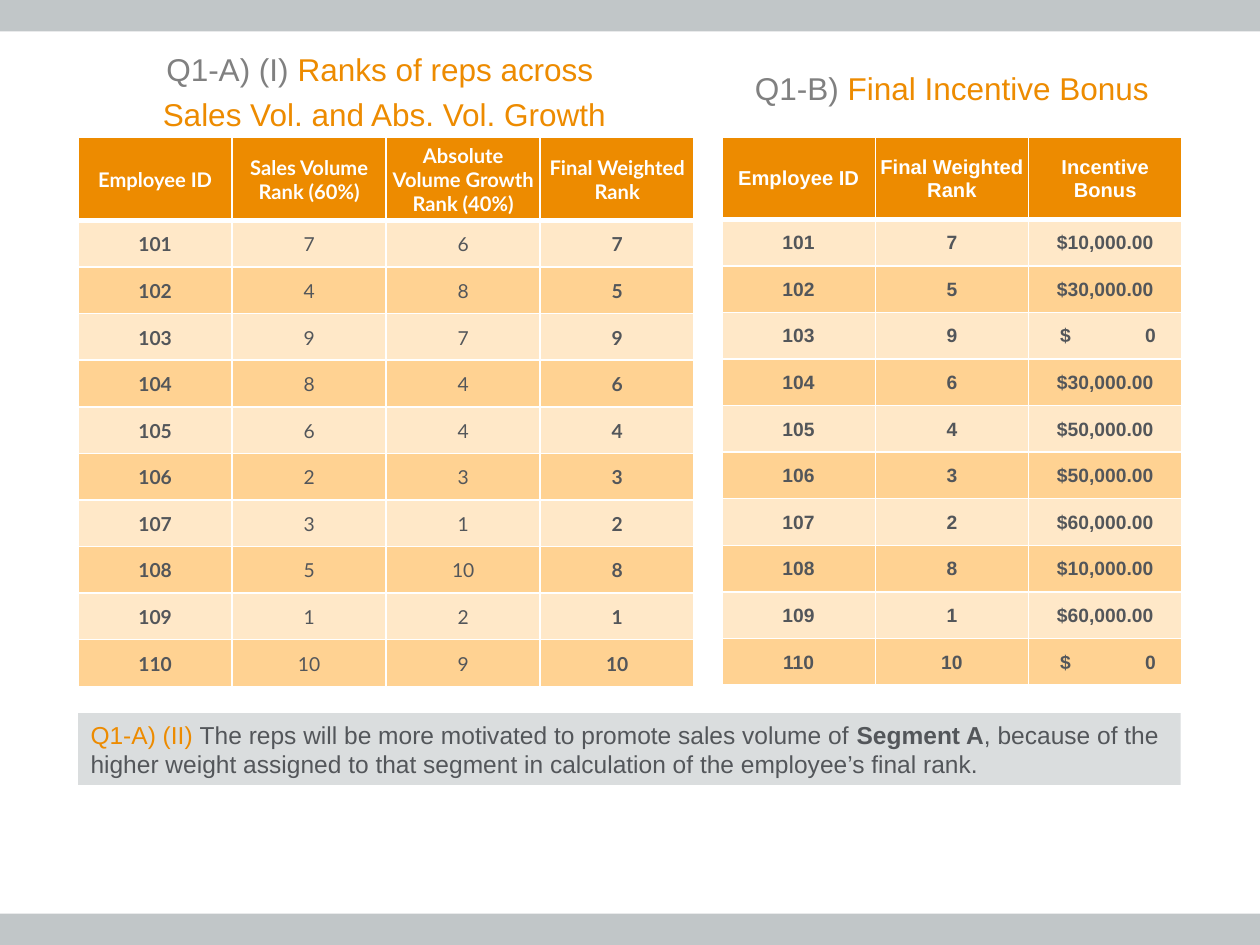
"""Build the slide of sales ranks and incentive bonuses."""
from lxml.etree import fromstring
from pptx import Presentation
from pptx.dml.color import RGBColor as RGB
from pptx.enum.shapes import MSO_SHAPE as Shape
from pptx.enum.text import MSO_ANCHOR as Anchor, PP_ALIGN as Align
from pptx.util import Inches, Pt

HUES = {"bar": "C1C6C8", "head": "ED8B00", "odd": "FFE8C8", "even": "FFD292",
        "note": "DADDDE", "text": "53565A", "gray": "808080", "white": "FFFFFF"}
NS = "http://schemas.openxmlformats.org/drawingml/2006/main"

RANKS = [(101, 7, 6, 7), (102, 4, 8, 5), (103, 9, 7, 9), (104, 8, 4, 6), (105, 6, 4, 4),
         (106, 2, 3, 3), (107, 3, 1, 2), (108, 5, 10, 8), (109, 1, 2, 1), (110, 10, 9, 10)]
PAY = [10000, 30000, 0, 30000, 50000, 50000, 60000, 10000, 60000, 0]
FINAL = "Final Weighted\nRank"
TABLES = [
    {"box": (0.62, 1.09, 4.89, 4.36), "font": "Lato", "plain": (1, 2),
     "head": ["Employee ID", "Sales Volume Rank (60%)",
              "Absolute Volume Growth Rank (40%)", FINAL],
     "rows": RANKS},
    {"box": (5.73, 1.09, 3.65, 4.35), "font": "Arial", "plain": (),
     "head": ["Employee ID", FINAL, "Incentive\nBonus"],
     "rows": [(rank[0], rank[3], f"${pay:,.2f}" if pay else "$\t0")
              for rank, pay in zip(RANKS, PAY)]},
]
TITLES = [
    ((0.62, 0.35, 4.86, 0.77), [
        [("Q1-A) (I) ", "gray"), ("Ranks of reps across ", "head")],
        [("Sales Vol. and Abs. Vol. Growth", "head")]]),
    ((5.74, 0.5, 3.63, 0.4), [
        [("Q1-B)", "gray"), (" Final Incentive Bonus", "head")]]),
]
NOTE = [[("Q1-A) (II) ", "head"),
         ("The reps will be more motivated to promote sales volume of ", "text"),
         ("Segment A", "text", True),
         (", because of the higher weight assigned to that segment in calculation "
          "of the employee’s final rank.", "text")]]
NOTE_BOX = (0.62, 5.66, 8.75, 0.57)
BARS = [(0, 0, 10, 0.25), (0, 7.25, 10, 0.25)]
ROW = 0.37
INSETS = {"margin_left": 0.01, "margin_right": 0.01, "margin_top": 0.01, "margin_bottom": 0}
SPLIT = {"margin_left": 0.25, "margin_right": 0.2}


def style(item, **values):
    for name, value in values.items():
        setattr(item, name, value)


def write(frame, lines, size, align, font="Arial", gap=0):
    for at, line in enumerate(lines):
        para = frame.add_paragraph() if at else frame.paragraphs[0]
        style(para, alignment=align, space_before=Pt(gap if at else 0))
        for text, hue, *bold in line:
            run = para.add_run()
            run.text = text
            style(run.font, name=font, size=Pt(size), bold=bool(bold and bold[0]))
            run.font.color.rgb = RGB.from_string(HUES[hue])


def block(box, hue):
    part = slide.shapes.add_shape(Shape.RECTANGLE, *map(Inches, box))
    part.shadow.inherit = False
    part.fill.solid()
    part.fill.fore_color.rgb = RGB.from_string(HUES[hue])
    part.line.fill.background()
    return part


def edge(cell, row):
    widths = {"L": 1, "R": 1, "T": 3 if row == 1 else 1, "B": 1 if row else 3}
    for at, (side, width) in enumerate(widths.items()):
        cell._tc.get_or_add_tcPr().insert(at, fromstring(
            f'<a:ln{side} xmlns:a="{NS}" w="{Pt(width)}"><a:solidFill>'
            f'<a:srgbClr val="{HUES["white"]}"/></a:solidFill></a:ln{side}>'))


def split(cell):
    style(cell, **{name: Inches(value) for name, value in SPLIT.items()})
    para = cell.text_frame.paragraphs[0]
    para.alignment = Align.LEFT
    para._p.get_or_add_pPr().append(fromstring(
        f'<a:tabLst xmlns:a="{NS}"><a:tab pos="{Inches(0.76)}" algn="r"/></a:tabLst>'))


def fill_cell(cell, row, col, value, data):
    style(cell, vertical_anchor=Anchor.MIDDLE,
          **{name: Inches(inset) for name, inset in INSETS.items()})
    cell.fill.solid()
    tone = ("odd" if row % 2 else "even") if row else "head"
    cell.fill.fore_color.rgb = RGB.from_string(HUES[tone])
    bold = not row or col not in data["plain"]
    hue = "text" if row else "white"
    lines = [[(text, hue, bold)] for text in str(value).split("\n")]
    write(cell.text_frame, lines, 11 if row else 11.5, Align.CENTER, data["font"])
    if "\t" in str(value):
        split(cell)
    edge(cell, row)


def add_grid(data):
    rows = [data["head"], *data["rows"]]
    wide, high = data["box"][2:]
    count = len(data["head"])
    grid = slide.shapes.add_table(len(rows), count, *map(Inches, data["box"])).table
    for col in grid.columns:
        col.width = Inches(wide / count)
    for row, values in enumerate(rows):
        grid.rows[row].height = Inches(ROW if row else high - ROW * len(data["rows"]))
        for col, value in enumerate(values):
            fill_cell(grid.cell(row, col), row, col, value, data)


deck = Presentation()
style(deck, slide_width=Inches(10), slide_height=Inches(7.5))
slide = deck.slides.add_slide(deck.slide_layouts[6])
for box in BARS:
    block(box, "bar")
for data in TABLES:
    add_grid(data)
note = block(NOTE_BOX, "note").text_frame
style(note, word_wrap=True, vertical_anchor=Anchor.MIDDLE)
write(note, NOTE, 14, Align.LEFT)
for box, lines in TITLES:
    frame = slide.shapes.add_textbox(*map(Inches, box)).text_frame
    frame.word_wrap = True
    write(frame, lines, 18, Align.CENTER, gap=4)
deck.save("out.pptx")
